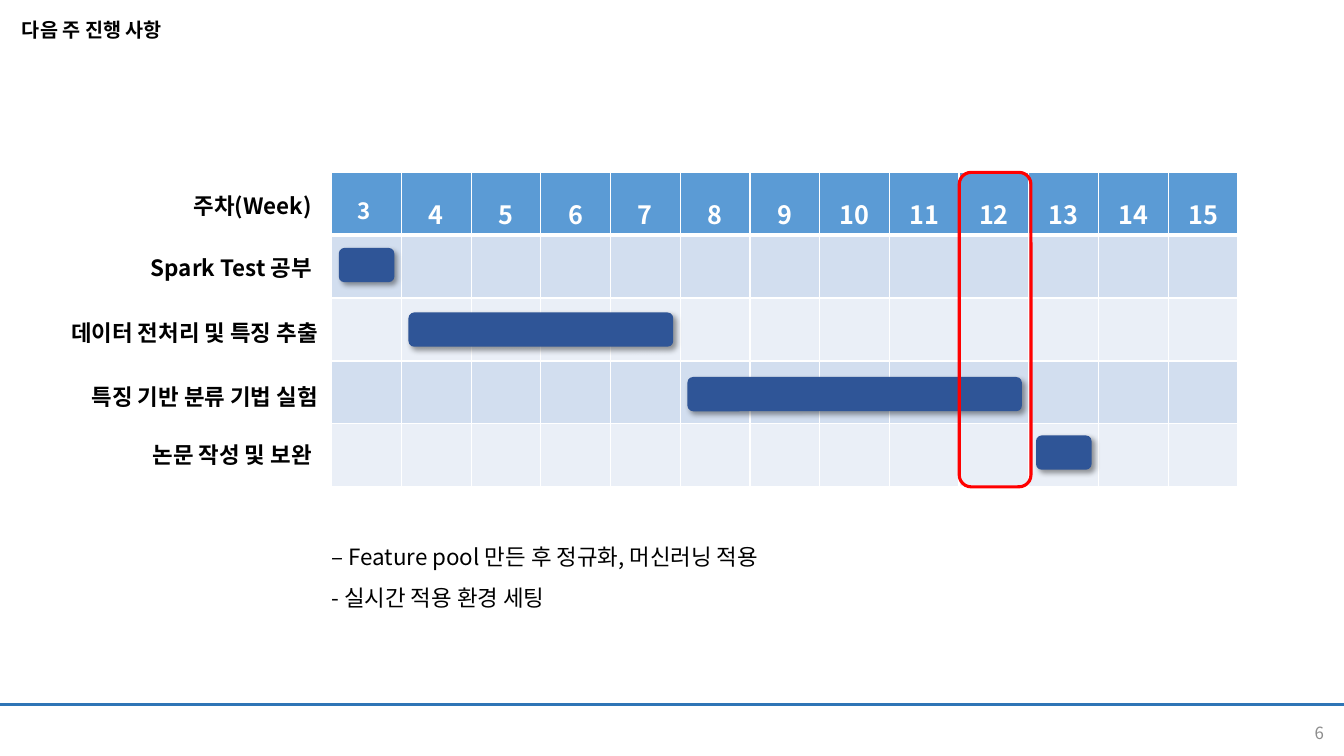
from lxml import etree
from pptx import Presentation
from pptx.dml.color import RGBColor
from pptx.enum import shapes, text
from pptx.oxml import ns
from pptx.util import Inches, Pt

# Content
TITLE = "다음 주 진행 사항"
PAGE_NUMBER = "6"
WEEKS = list(range(3, 16))
CURRENT_WEEK = 12
HEADING = ("주차(Week)", 3.19, 1.86)  # text, right edge, top
TASKS = [  # text, right edge, label top, first week, last week, bar top
    ("Spark Test 공부", 3.19, 2.47, 3, 3, 2.46),
    ("데이터 전처리 및 특징 추출", 3.25, 3.12, 4, 7, 3.1),
    ("특징 기반 분류 기법 실험", 3.25, 3.75, 8, 12, 3.74),
    ("논문 작성 및 보완", 3.19, 4.33, 13, 13, 4.32),
]
NOTES = ["– Feature pool 만든 후 정규화, 머신러닝 적용", "- 실시간 적용 환경 세팅"]

# Style
FONT = "Noto Sans CJK KR"
BLACK = RGBColor(0x00, 0x00, 0x00)
WHITE = RGBColor(0xFF, 0xFF, 0xFF)
GRAY = RGBColor(0x8C, 0x8C, 0x8C)
RED = RGBColor(0xFF, 0x00, 0x00)
RULE_BLUE = RGBColor(0x2E, 0x75, 0xB6)
BAR_BLUE = RGBColor(0x2F, 0x55, 0x97)
HEADER_BLUE = RGBColor(0x5B, 0x9B, 0xD5)
BANDS = [RGBColor(0xEA, 0xEF, 0xF7), RGBColor(0xD2, 0xDE, 0xEF)]
LEFT, RIGHT, CENTER = text.PP_ALIGN.LEFT, text.PP_ALIGN.RIGHT, text.PP_ALIGN.CENTER

# Layout in inches
GRID_LEFT, GRID_TOP, GRID_WIDTH, GRID_HEIGHT = 3.29, 1.71, 8.99, 3.12
COLUMN = GRID_WIDTH / len(WEEKS)
ROWS = len(TASKS) + 1
BAR_PAD, BAR_HEIGHT = 0.07, 0.34
LABEL_WIDTH = 3.0


def week_left(week):
    return GRID_LEFT + (week - WEEKS[0]) * COLUMN


def add_child(parent, tag, **attributes):
    return etree.SubElement(parent, ns.qn(tag), attributes)


def write(para, words, size, color, bold=False, align=LEFT, spacing=None):
    para.alignment = align
    if spacing:
        para.line_spacing = spacing
    span = para.add_run()
    span.text = words
    font = span.font
    font.name, font.size, font.bold = FONT, Pt(size), bold
    font.color.rgb = color
    add_child(span._r.get_or_add_rPr(), "a:ea", typeface=FONT)


def add_text(page, place, lines, size, color=BLACK, **style):
    frame = page.shapes.add_textbox(*map(Inches, place)).text_frame
    frame.word_wrap = True
    for number, words in enumerate(lines):
        para = frame.add_paragraph() if number else frame.paragraphs[0]
        write(para, words, size, color, **style)
    return frame


def add_round_box(page, left, top, width, height):
    box = page.shapes.add_shape(
        shapes.MSO_SHAPE.ROUNDED_RECTANGLE, *map(Inches, (left, top, width, height)))
    box.shadow.inherit = False
    return box


def add_borders(cell, top, bottom):
    properties = cell._tc.get_or_add_tcPr()
    widths = {"a:lnL": 1, "a:lnR": 1, "a:lnT": top, "a:lnB": bottom}
    for tag, points in widths.items():
        line = add_child(properties, tag, w=str(Pt(points)))
        add_child(add_child(line, "a:solidFill"), "a:srgbClr", val=str(WHITE))


def add_schedule(page):
    frame = page.shapes.add_table(
        ROWS, len(WEEKS), *map(Inches, (GRID_LEFT, GRID_TOP, GRID_WIDTH, GRID_HEIGHT)))
    table = frame.table
    for column in table.columns:
        column.width = Inches(COLUMN)
    for number, row in enumerate(table.rows):
        row.height = Inches(GRID_HEIGHT / ROWS)
        for cell in row.cells:
            add_borders(cell, 3 if number == 1 else 1, 3 if number == 0 else 1)
            cell.fill.solid()
            cell.fill.fore_color.rgb = BANDS[number % 2] if number else HEADER_BLUE
    for index, week in enumerate(WEEKS):
        words, size = (f"{week} ", 16) if index == 0 else (str(week), 18)
        write(table.cell(0, index).text_frame.paragraphs[0], words, size, WHITE,
              bold=True, align=CENTER, spacing=1.5)


def add_label(page, words, right, top):
    add_text(page, (right - LABEL_WIDTH, top, LABEL_WIDTH, 0.37), [words], 16,
             bold=True, align=RIGHT)


def add_bar(page, first, last, top):
    left = week_left(first) + BAR_PAD
    width = week_left(last + 1) - BAR_PAD - left
    bar = add_round_box(page, left, top, width, BAR_HEIGHT)
    bar.fill.solid()
    bar.fill.fore_color.rgb = BAR_BLUE
    bar.line.fill.background()
    effects = bar._element.spPr.find(ns.qn("a:effectLst"))
    shadow = add_child(effects, "a:outerShdw", blurRad=str(Pt(4)), dist=str(Pt(3)),
                       dir=str(45 * 60000), algn="tl", rotWithShape="0")
    color = add_child(shadow, "a:srgbClr", val=str(BLACK))
    add_child(color, "a:alpha", val="40000")


def main():
    deck = Presentation()
    deck.slide_width, deck.slide_height = Inches(13.33), Inches(7.5)
    page = deck.slides.add_slide(deck.slide_layouts[6])

    # Footer
    footer = add_text(page, (12.78, 7.07, 0.45, 0.4), [PAGE_NUMBER], 12, GRAY, align=RIGHT)
    footer.vertical_anchor = text.MSO_ANCHOR.MIDDLE
    rule = page.shapes.add_connector(
        shapes.MSO_CONNECTOR.STRAIGHT, *map(Inches, (0, 6.99, 13.33, 6.99)))
    rule.line.color.rgb, rule.line.width = RULE_BLUE, Pt(2.25)
    add_child(rule._element.spPr, "a:effectLst")

    # Schedule with task labels and bars
    add_schedule(page)
    add_label(page, *HEADING)
    for words, right, label_top, first, last, bar_top in TASKS:
        add_label(page, words, right, label_top)
        add_bar(page, first, last, bar_top)

    # Current week
    marker = add_round_box(page, week_left(CURRENT_WEEK), GRID_TOP, COLUMN + 0.02, GRID_HEIGHT)
    marker.fill.background()
    marker.line.color.rgb, marker.line.width = RED, Pt(2.25)

    # Notes and title
    add_text(page, (3.19, 5.21, 7.99, 0.86), NOTES, 16, spacing=1.5)
    add_text(page, (0.12, 0.13, 4.24, 0.34), [TITLE], 14, bold=True)
    deck.save("out.pptx")


if __name__ == "__main__":
    main()
